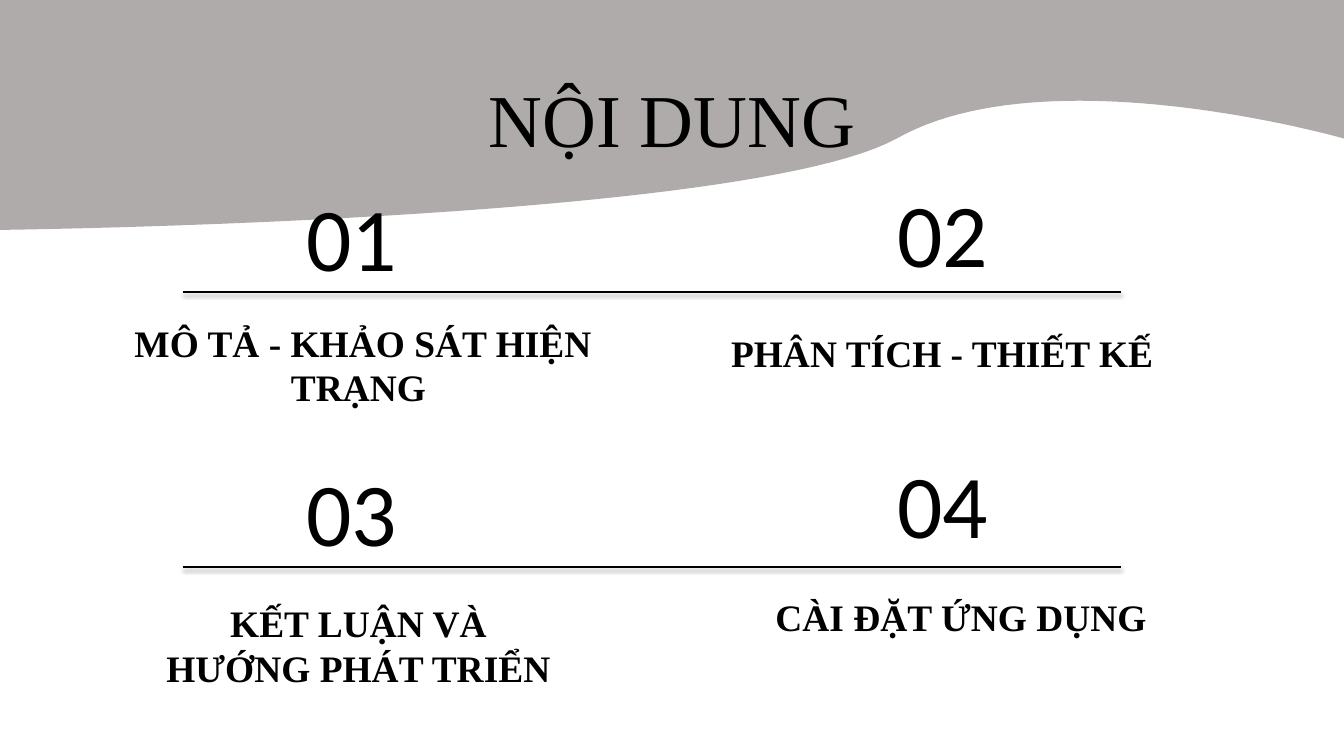
from lxml.etree import SubElement
from pptx import Presentation
from pptx.dml.color import RGBColor
from pptx.enum.shapes import MSO_CONNECTOR
from pptx.enum.text import MSO_ANCHOR, PP_ALIGN
from pptx.oxml.ns import qn
from pptx.util import Pt

PX = 9525  # EMU in one px, 96 px to the inch
WIDTH, HEIGHT = 1280, 720
BLACK = RGBColor(0x00, 0x00, 0x00)
GRAY = RGBColor(0xAF, 0xAB, 0xAB)
SERIF, SANS = "Times New Roman", "Calibri"


def write(box, text, font=SERIF, size=26.7, bold=False, anchor=MSO_ANCHOR.TOP):
    frame = box.text_frame
    frame.word_wrap = True
    frame.vertical_anchor = anchor
    frame.margin_left = frame.margin_right = 12 * PX
    frame.margin_top = frame.margin_bottom = 12 * PX
    para = frame.paragraphs[0]
    para.alignment = PP_ALIGN.CENTER
    run = para.add_run()
    run.text = text
    run.font.name, run.font.size, run.font.bold = font, Pt(size), bold
    run.font.color.rgb = BLACK


def curve(start, first, second, end, steps=48):
    """Points along a cubic curve, without its start."""
    points = []
    for step in range(1, steps + 1):
        t = step / steps
        u = 1 - t
        parts = (u**3, 3 * u * u * t, 3 * u * t * t, t**3)
        points.append(tuple(
            round(PX * sum(part * point[axis] for part, point
                           in zip(parts, (start, first, second, end))))
            for axis in (0, 1)))
    return points


class Canvas:
    def __init__(self, deck):
        self.shapes = deck.slides.add_slide(deck.slide_layouts[6]).shapes

    def wave(self, color):
        left, crest, right = (0, 219), (854, 132), (WIDTH, 132)
        edge = curve(left, left, (710, 211), crest)
        edge += curve(crest, (997, 51), right, right)
        pen = self.shapes.build_freeform(0, 0)
        pen.add_line_segments(
            [(0, 219 * PX)] + edge + [(WIDTH * PX, 0)], close=True)
        shape = pen.convert_to_shape()
        shape.shadow.inherit = False
        shape.fill.solid()
        shape.fill.fore_color.rgb = color
        shape.line.fill.background()

    def label(self, place, text, **style):
        box = self.shapes.add_textbox(*(v * PX for v in place))
        write(box, text, **style)

    def rule(self, left, right, top):
        line = self.shapes.add_connector(
            MSO_CONNECTOR.STRAIGHT, left * PX, top * PX, right * PX, top * PX)
        line.line.color.rgb = BLACK
        line.line.width = Pt(1)
        effects = SubElement(line._element.spPr, qn("a:effectLst"))
        shade = SubElement(effects, qn("a:outerShdw"), blurRad=str(Pt(3.1)),
                           dist=str(Pt(1.6)), dir="5400000", rotWithShape="0")
        tint = SubElement(shade, qn("a:srgbClr"), val=str(BLACK))
        SubElement(tint, qn("a:alpha"), val="38000")


def main():
    deck = Presentation()
    deck.slide_width, deck.slide_height = WIDTH * PX, HEIGHT * PX
    page = Canvas(deck)

    # Header wave and title
    page.wave(GRAY)
    page.label((157, 57, 966, 132), "NỘI DUNG", size=53.3)

    # Numbered topics: number corner, topic box, topic
    topics = [
        ((212, 184), (93, 350, 497, 52), " MÔ TẢ - KHẢO SÁT HIỆN TRẠNG"),
        ((775, 180), (678, 288, 439, 81), "PHÂN TÍCH - THIẾT KẾ"),
        ((212, 446), (140, 588, 403, 81), "KẾT LUẬN VÀ HƯỚNG PHÁT TRIỂN"),
        ((775, 438), (665, 540, 501, 81), "CÀI ĐẶT ỨNG DỤNG"),
    ]
    for count, (corner, place, topic) in enumerate(topics, 1):
        page.label(place, topic, bold=True, anchor=MSO_ANCHOR.BOTTOM)
        page.label((*corner, 246, 81), f"{count:02}", font=SANS, size=64,
                   anchor=MSO_ANCHOR.MIDDLE)

    # Rules under the numbers
    for top in (278, 540):
        page.rule(174, 1068, top)

    deck.save("out.pptx")


if __name__ == "__main__":
    main()
